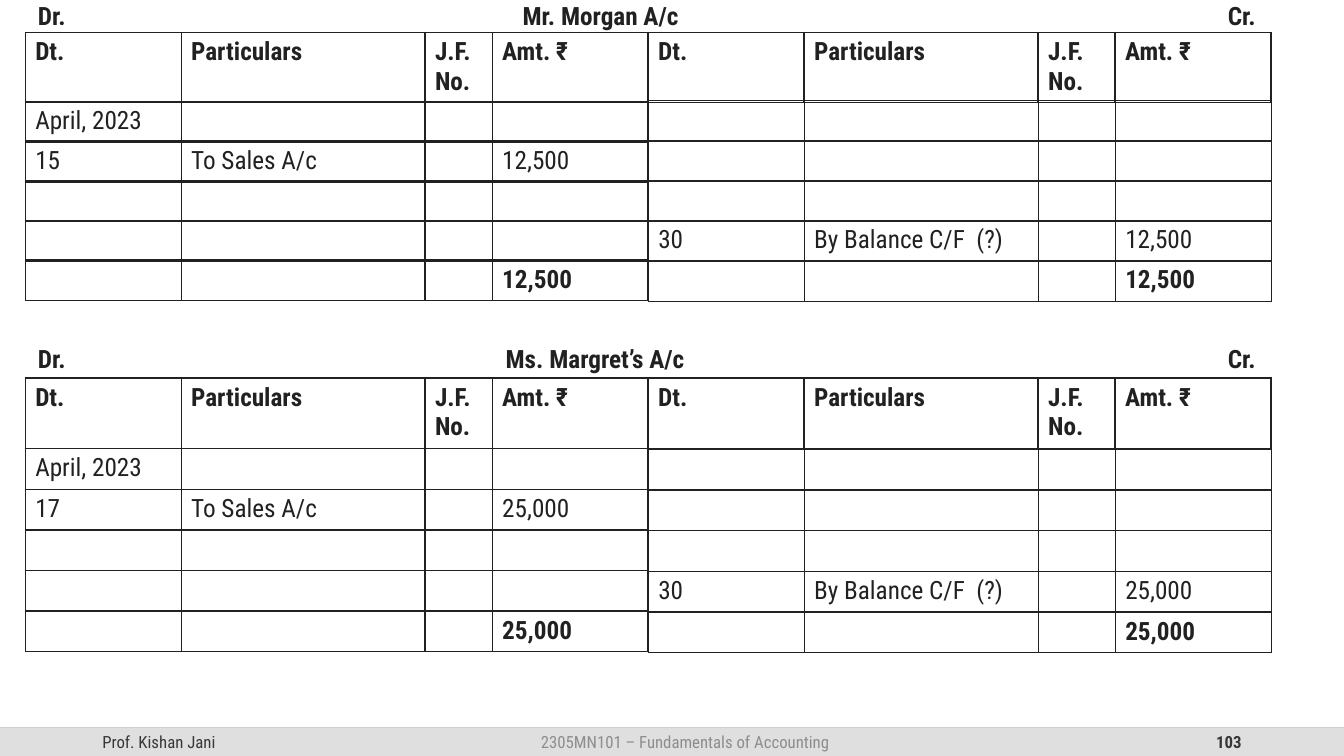
from lxml import etree
from pptx import Presentation
from pptx.dml import color
from pptx.enum import shapes, text
from pptx.oxml import ns
from pptx.util import Pt

INK = color.RGBColor(0x21, 0x21, 0x21)
FOOTER_FILL = color.RGBColor(0xDF, 0xDF, 0xDF)
FOOTER_INK = color.RGBColor(0x37, 0x37, 0x37)
FOOTER_MUTED = color.RGBColor(0x8D, 0x8D, 0x8D)
RULE = color.RGBColor(0xCF, 0xCF, 0xCF)
FONT = "Roboto Condensed"

LEFT, HALF_WIDTH = 18, 445
DEBIT_COLUMNS = [111.4, 174.2, 48, 111.4]
CREDIT_COLUMNS = [111.4, 167.2, 55, 111.4]
HEADINGS = ["Dt.", "Particulars", "J.F.\nNo.", "Amt. ₹"]
BLANK = ["", "", "", ""]

deck = Presentation()
deck.slide_width, deck.slide_height = Pt(960), Pt(540)
page = deck.slides.add_slide(deck.slide_layouts[6])


def style(para, size, ink, bold=False):
    para.font.name = FONT
    para.font.size = Pt(size)
    para.font.bold = bold
    para.font.color.rgb = ink


def add_strip(left, top, height, columns, values, bold):
    """Add a one-row ruled table."""
    frame = page.shapes.add_table(1, len(columns), Pt(left), Pt(top),
                                  Pt(sum(columns)), Pt(height))
    table = frame.table
    table.first_row = table.horz_banding = False
    table.rows[0].height = Pt(height)
    for index, (width, value) in enumerate(zip(columns, values)):
        table.columns[index].width = Pt(width)
        cell = table.cell(0, index)
        cell.text = value
        for para in cell.text_frame.paragraphs:
            style(para, 18, INK, bold)
        cell.fill.background()
        properties = cell._tc.get_or_add_tcPr()
        for place, side in enumerate(["lnL", "lnR", "lnT", "lnB"]):
            border = etree.Element(ns.qn("a:" + side), w=str(Pt(1)))
            fill = etree.SubElement(border, ns.qn("a:solidFill"))
            etree.SubElement(fill, ns.qn("a:srgbClr"), val=str(INK))
            properties.insert(place, border)


# Footer band
rule = page.shapes.add_connector(shapes.MSO_CONNECTOR.STRAIGHT,
                                 Pt(0), Pt(520), Pt(960), Pt(520))
rule.line.color.rgb = RULE
rule.line.width = Pt(1)
etree.SubElement(rule._element.spPr, ns.qn("a:effectLst"))
band = page.shapes.add_shape(shapes.MSO_SHAPE.RECTANGLE,
                             Pt(0), Pt(520), Pt(960), Pt(20))
band.shadow.inherit = False
band.fill.solid()
band.fill.fore_color.rgb = FOOTER_FILL
band.line.fill.background()

# Footer texts
for wording, left, width, align, ink, bold in [
    ("Prof. Kishan Jani", 66, 216, text.PP_ALIGN.LEFT, FOOTER_INK, False),
    ("2305MN101 – Fundamentals of Accounting", 301, 377,
     text.PP_ALIGN.CENTER, FOOTER_MUTED, False),
    ("103", 678, 216, text.PP_ALIGN.RIGHT, FOOTER_INK, True),
]:
    box = page.shapes.add_textbox(Pt(left), Pt(520), Pt(width), Pt(20))
    box.text_frame.word_wrap = True
    box.text_frame.vertical_anchor = text.MSO_ANCHOR.MIDDLE
    para = box.text_frame.paragraphs[0]
    para.text = wording
    para.alignment = align
    style(para, 12, ink, bold)

# Ledgers: title, title top, title centre, header top,
# (first row, pitch) for debit and credit, day, amount
LEDGERS = [
    ("Mr. Morgan A/c", -3, 402, 23, (72.5, 28.25), (72, 28.5), "15", "12,500"),
    ("Ms. Margret’s A/c", 242, 398, 270, (320.4, 29), (321, 29), "17", "25,000"),
]
for title, title_top, centre, header_top, debit, credit, day, amount in LEDGERS:
    # Title line with a centred and a right-hand tab stop
    box = page.shapes.add_textbox(Pt(LEFT), Pt(title_top),
                                  Pt(2 * HALF_WIDTH), Pt(29))
    box.text_frame.word_wrap = True
    box.text_frame.margin_left = Pt(9)
    para = box.text_frame.paragraphs[0]
    para.text = f"Dr.\t{title}\tCr."
    style(para, 18, INK, True)
    stops = etree.Element(ns.qn("a:tabLst"))
    for position, kind in [(centre, "ctr"), (870, "r")]:
        etree.SubElement(stops, ns.qn("a:tab"), pos=str(Pt(position)), algn=kind)
    para._p.get_or_add_pPr().insert(0, stops)

    # Column headings
    add_strip(LEFT, header_top, 50.4, DEBIT_COLUMNS + CREDIT_COLUMNS,
              HEADINGS * 2, True)

    # Entries on both sides, closed by a bold total
    total = ["", "", "", amount]
    debit_rows = [["April, 2023", "", "", ""], [day, "To Sales A/c", "", amount],
                  BLANK, BLANK, total]
    credit_rows = [BLANK, BLANK, BLANK,
                   ["30", "By Balance C/F  (?)", "", amount], total]
    for left, columns, (top, pitch), rows in [
        (LEFT, DEBIT_COLUMNS, debit, debit_rows),
        (LEFT + HALF_WIDTH, CREDIT_COLUMNS, credit, credit_rows),
    ]:
        for index, values in enumerate(rows):
            add_strip(left, top + index * pitch, 29.2, columns, values,
                      values is total)

deck.save("out.pptx")
